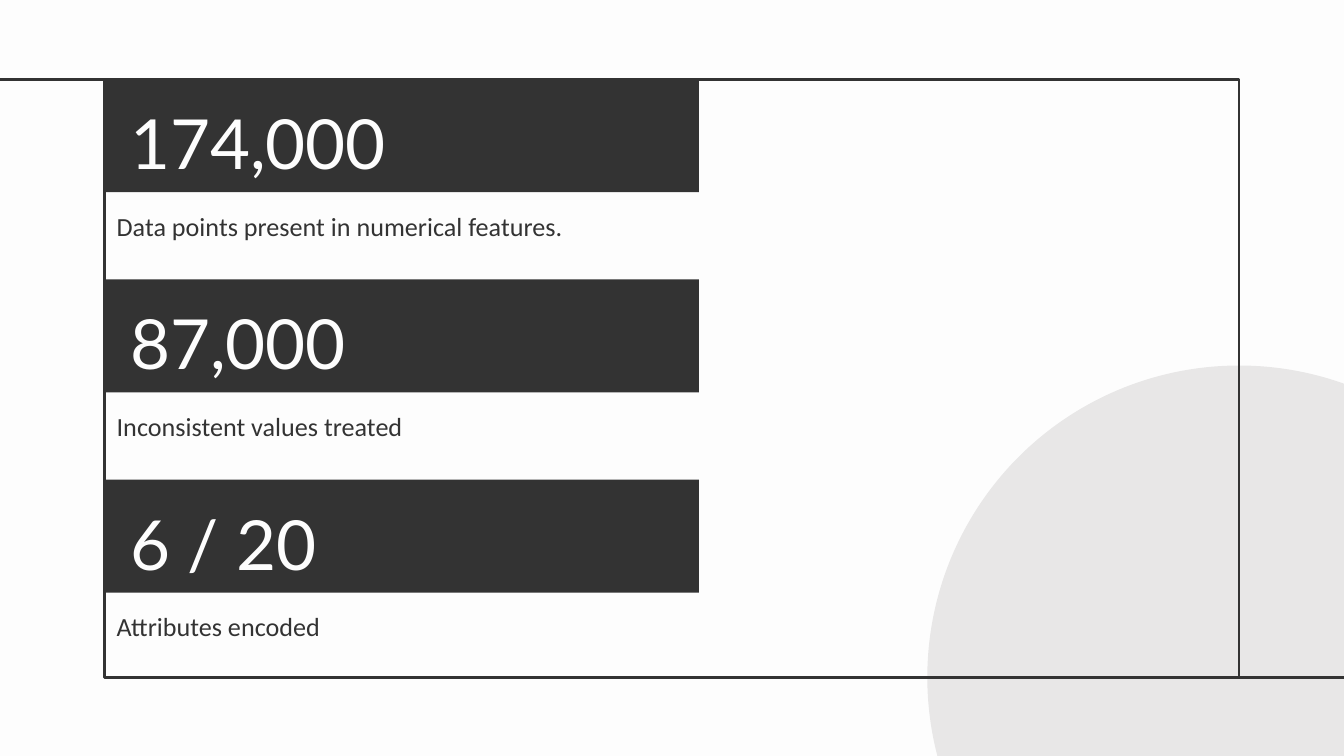
from lxml.etree import SubElement
from pptx import Presentation
from pptx.dml.color import RGBColor
from pptx.enum.shapes import MSO_CONNECTOR, MSO_SHAPE
from pptx.enum.text import MSO_ANCHOR, PP_ALIGN
from pptx.oxml.ns import qn
from pptx.util import Inches, Pt

STATS = [
    ("174,000", "Data points present in numerical features."),
    ("87,000", "Inconsistent values treated"),
    ("6 / 20", "Attributes encoded"),
]

DARK = RGBColor(0x33, 0x33, 0x33)
PALE = RGBColor(0xFD, 0xFD, 0xFD)
GREY = RGBColor(0xE8, 0xE7, 0xE7)

WIDTH = 10
HEIGHT = WIDTH * 9 / 16
LEFT, TOP, RIGHT, BOTTOM = 0.78, 0.59, 9.22, 5.04
BAR_X, BAR_W, BAR_H = 0.77, 4.43, 0.84
NOTE_H, STEP = 0.45, 1.49
DISC = 4.64
RULE = Pt(1.5)

deck = Presentation()
deck.slide_width, deck.slide_height = Inches(WIDTH), Inches(HEIGHT)
slide = deck.slides.add_slide(deck.slide_layouts[6])
slide.background.fill.solid()
slide.background.fill.fore_color.rgb = PALE


def add_shape(kind, x, y, w, h, fill=None, line=None):
    shape = slide.shapes.add_shape(
        kind, Inches(x), Inches(y), Inches(w), Inches(h))
    shape.shadow.inherit = False
    if fill is None:
        shape.fill.background()
    else:
        shape.fill.solid()
        shape.fill.fore_color.rgb = fill
    if line is None:
        shape.line.fill.background()
    else:
        shape.line.color.rgb = line
        shape.line.width = RULE
    return shape


def add_rule(start, end, y):
    rule = slide.shapes.add_connector(
        MSO_CONNECTOR.STRAIGHT, Inches(start), Inches(y), Inches(end), Inches(y))
    rule.line.color.rgb = DARK
    rule.line.width = RULE
    SubElement(rule._element.spPr, qn("a:effectLst"))


def set_text(shape, text, font, size, color, side, anchor):
    frame = shape.text_frame
    frame.word_wrap = True
    frame.vertical_anchor = anchor
    frame.margin_left = frame.margin_right = Inches(side)
    frame.margin_top = frame.margin_bottom = Inches(0.1)
    para = frame.paragraphs[0]
    para.text = text
    para.alignment = PP_ALIGN.LEFT
    para.line_spacing = 1.15
    para.font.name = font
    para.font.size = Pt(size)
    para.font.color.rgb = color


# The disc is centred on the lower right corner of the frame.
add_shape(MSO_SHAPE.OVAL, RIGHT - DISC / 2, BOTTOM - DISC / 2, DISC, DISC, GREY)
add_shape(MSO_SHAPE.RECTANGLE, LEFT, TOP, RIGHT - LEFT, BOTTOM - TOP, line=DARK)
add_rule(RIGHT, WIDTH, BOTTOM)
add_rule(LEFT, 0, TOP)

for row, (number, note) in enumerate(STATS):
    y = TOP + row * STEP
    bar = add_shape(MSO_SHAPE.RECTANGLE, BAR_X, y, BAR_W, BAR_H, DARK)
    set_text(bar, number, "Lato", 37, PALE, 0.2, MSO_ANCHOR.MIDDLE)
    label = slide.shapes.add_textbox(
        Inches(BAR_X), Inches(y + BAR_H), Inches(BAR_W), Inches(NOTE_H))
    set_text(label, note, "Calibri", 14, DARK, 0.1, MSO_ANCHOR.TOP)

deck.save("out.pptx")
